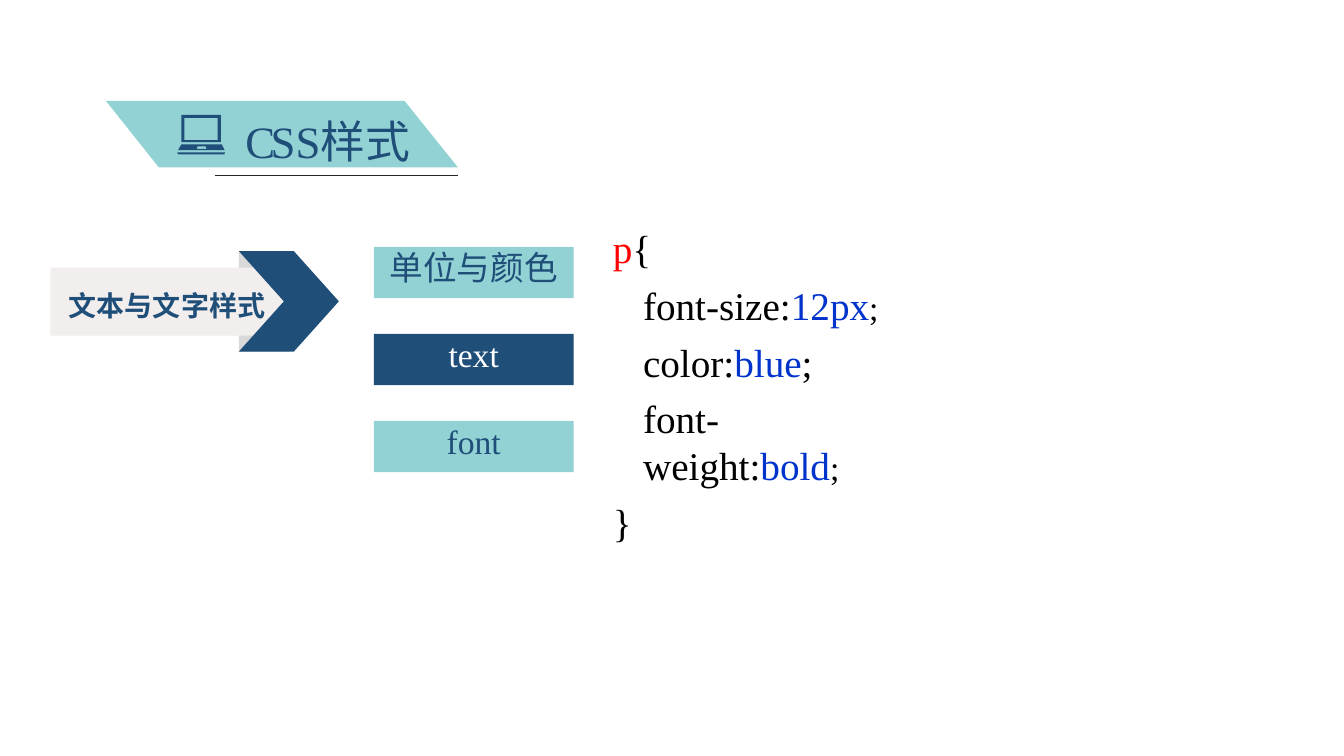
from dataclasses import dataclass

from lxml.etree import SubElement
from pptx import Presentation
from pptx.dml.color import RGBColor as RGB
from pptx.enum.shapes import MSO_CONNECTOR as CONN, MSO_SHAPE as SHAPE
from pptx.enum.text import MSO_ANCHOR as ANCHOR, MSO_AUTO_SIZE as FIT, PP_ALIGN as ALIGN
from pptx.oxml.ns import qn
from pptx.util import Emu, Inches, Pt


@dataclass(frozen=True)
class Theme:
    teal: str = "92D2D4"
    navy: str = "1F4E79"
    white: str = "FFFFFF"
    pale: str = "F3EEEE"
    gray: str = "D9D9D9"
    rule: str = "252525"
    black: str = "000000"
    selector: str = "FF0000"
    value: str = "0033CC"
    serif: str = "Times New Roman"
    mono: str = "Courier New"
    cjk: str = "Noto Sans CJK SC"
    title: int = 32
    code: int = 28
    item: int = 24
    label: int = 20


T = Theme()
COLS, ROWS = 160, 90  # square grid cells over the whole slide

prs = Presentation()
prs.slide_width, prs.slide_height = Emu(12192000), Emu(6858000)
CELL = prs.slide_width // COLS


def place(box, x, y, w, h):
    """Slide lengths of a part given in cells from the corner of its box."""
    return [Emu(round(v * CELL)) for v in (box[0] + x, box[1] + y, w, h)]


def paint(sp, color):
    sp.shadow.inherit = False
    sp.fill.solid()
    sp.fill.fore_color.rgb = RGB.from_string(color)
    sp.line.fill.background()
    return sp


def add_preset(s, kind, box, area, color):
    return paint(s.shapes.add_shape(kind, *place(box, *area)), color)


def add_outline(s, box, contours, color):
    """One freeform of several closed contours, in hundredths of a cell."""
    contours = [[((box[0] + x) * 100, (box[1] + y) * 100) for x, y in c] for c in contours]
    fb = s.shapes.build_freeform(*contours[0][0], scale=CELL / 100)
    for i, points in enumerate(contours):
        if i:
            fb.move_to(*points[0])
        fb.add_line_segments(points[1:], close=True)
    return paint(fb.convert_to_shape(), color)


def frame(sp, wrap=True):
    tf = sp.text_frame
    formats = dict(margin_left=0, margin_top=0, margin_right=0, margin_bottom=0,
                   word_wrap=wrap, auto_size=FIT.NONE, vertical_anchor=ANCHOR.TOP)
    for name, value in formats.items():
        setattr(tf, name, value)
    return tf


def add_run(p, text, size, color, font=T.serif, bold=False, spacing=0):
    r = p.add_run()
    r.text = text
    for name, value in dict(size=Pt(size), name=font, bold=bold).items():
        setattr(r.font, name, value)
    r.font.color.rgb = RGB.from_string(color)
    rpr = r.font._element
    SubElement(rpr, qn("a:ea")).set("typeface", font)
    if spacing:
        rpr.set("spc", str(round(spacing * 100)))


def header(s, box):
    # Slanted banner
    add_outline(s, box, [[(0, 0), (35.55, 0), (41.9, 7.92), (6.3, 7.92)]], T.teal)

    # Rule under the banner
    x, y, w, _ = place(box, 13, 8.88, 28.9, 0)
    line = s.shapes.add_connector(CONN.STRAIGHT, x, y, x + w, y)
    line.line.color.rgb = RGB.from_string(T.rule)
    line.line.width = Pt(0.48)
    SubElement(line._element.spPr, qn("a:effectLst"))

    # Title, raised in front of the banner
    title = s.shapes.title
    line._element.addnext(title._element)
    for name, value in zip(("left", "top", "width", "height"),
                           place(box, 16.6, 1.56, 101.64, 5.64)):
        setattr(title, name, value)
    p = frame(title).paragraphs[0]
    p.alignment = ALIGN.LEFT
    add_run(p, "CS", T.title, T.navy, spacing=-3.2)
    add_run(p, "S", T.title, T.navy, spacing=-2.9)
    add_run(p, "样式", T.title, T.navy, T.mono)

    # Laptop: screen with its opening, keyboard with its touchpad, foot
    laptop = [
        [(0.5, 0), (5.2, 0), (5.2, 3.25), (0.5, 3.25)],
        [(0.84, 0.36), (0.84, 3), (4.8, 3), (4.8, 0.36)],
        [(0.5, 3.5), (5.3, 3.5), (5.65, 4.2), (0.1, 4.2)],
        [(2.4, 3.75), (2.3, 4.05), (3.5, 4.05), (3.4, 3.75)],
        [(0, 4.45), (5.7, 4.45), (5.6, 4.7), (0.1, 4.7)],
    ]
    add_outline(s, (box[0] + 8.5, box[1] + 1.68), laptop, T.navy)


def topic(s, box):
    add_preset(s, SHAPE.RECTANGLE, box, (22.44, 0.1, 6, 11.9), T.gray)
    add_preset(s, SHAPE.RECTANGLE, box, (0, 1.95, 27.96, 8.1), T.pale)
    tb = s.shapes.add_textbox(*place(box, 2.2, 4.4, 23.8, 3.7))
    add_run(frame(tb, wrap=False).paragraphs[0], "文本与文字样式",
            T.label, T.navy, T.cjk, bold=True)
    chevron = add_preset(s, SHAPE.CHEVRON, box, (22.44, 0, 11.9, 11.95), T.navy)
    chevron.adjustments[0] = 0.45


def menu(s, box, items, item_height=6.1):
    pitch = (box[3] - item_height) / (len(items) - 1)
    for i, (text, font, fill, color) in enumerate(items):
        area = (0, i * pitch, box[2], item_height)
        sp = add_preset(s, SHAPE.RECTANGLE, box, area, fill)
        p = frame(sp).paragraphs[0]
        p.alignment = ALIGN.CENTER
        add_run(p, text, T.item, color, font)


def code(s, box, paragraphs):
    tf = frame(s.shapes.add_textbox(*place(box, 0, 0, *box[2:])))
    for i, (indent, right, formats, runs) in enumerate(paragraphs):
        p = tf.paragraphs[0] if i == 0 else tf.add_paragraph()
        for name, value in formats.items():
            setattr(p, name, value)
        ppr = p._p.get_or_add_pPr()
        for name, value in dict(marL=indent, marR=right, indent=0).items():
            ppr.set(name, str(Inches(value)))
        for text, size, color in runs:
            add_run(p, text, size, color)


s = prs.slides.add_slide(prs.slide_layouts[5])
header(s, (12.6, 12, 41.9, 8.88))
topic(s, (6, 29.9, 34.34, 12))
menu(s, (44.5, 29.4, 23.8, 26.8), [
    ("单位与颜色", T.cjk, T.teal, T.navy),
    ("text", T.serif, T.navy, T.white),
    ("font", T.serif, T.teal, T.navy),
])
code(s, (72.84, 26.76, 36.36, 31.8), [
    (0.01, 0, {}, [("p", T.code, T.selector), ("{", T.code, T.black)]),
    (0.31, 0, dict(line_spacing=1.2, space_before=Pt(0.1)), [
        ("font-size:", T.code, T.black), ("12px", T.code, T.value),
        ("; ", T.item, T.black), ("color:", T.code, T.black),
        ("blue", T.code, T.value), (";", T.code, T.black)]),
    (0.31, 0.3, dict(space_before=Pt(6.6)), [
        ("font-weight:", T.code, T.black), ("bold", T.code, T.value),
        (";", T.item, T.black)]),
    (0.01, 0, dict(space_before=Pt(6.8)), [("}", T.code, T.black)]),
])
prs.save("out.pptx")
